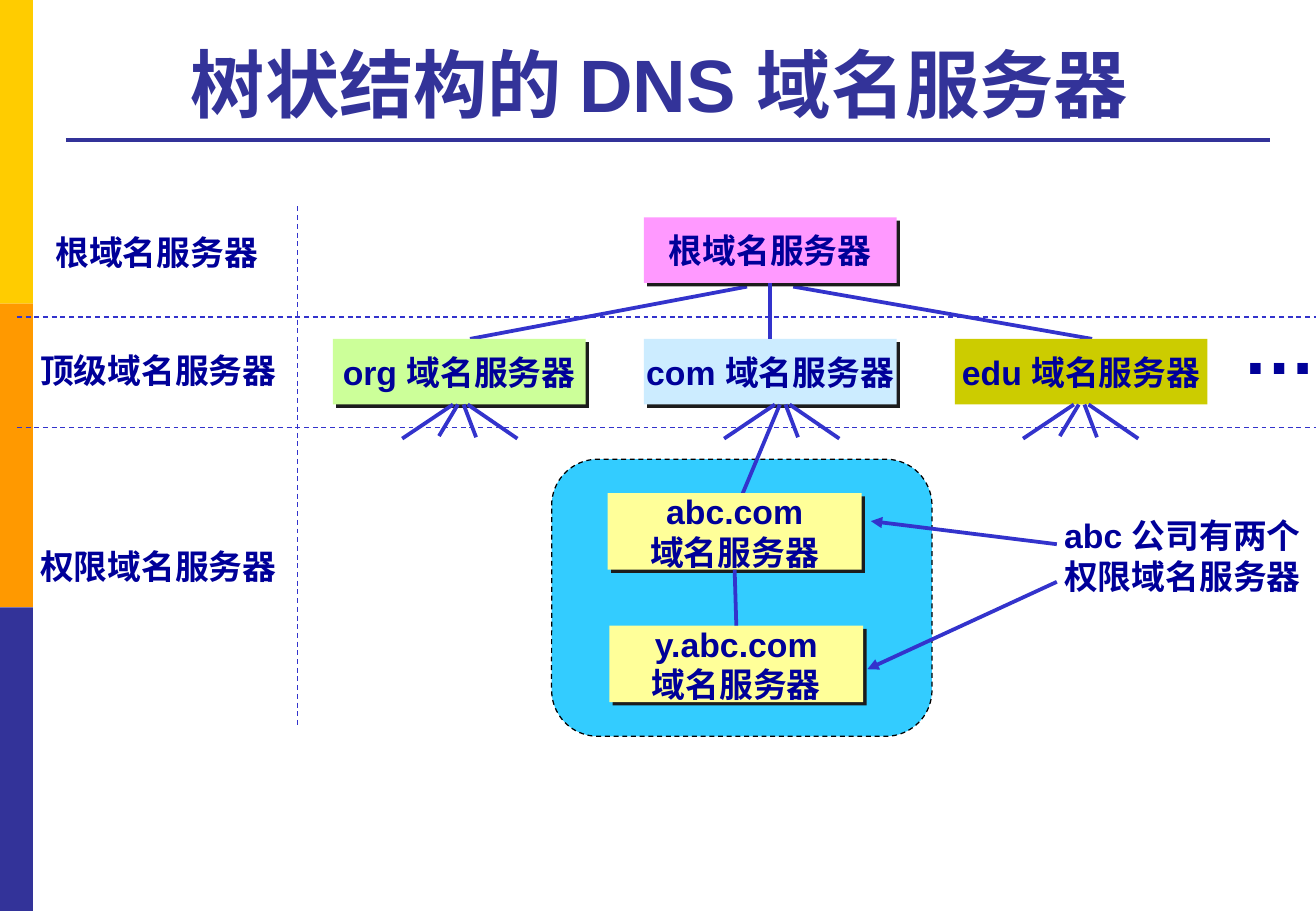
from dataclasses import dataclass

from lxml.etree import SubElement
from pptx import Presentation
from pptx.dml.color import RGBColor
from pptx.enum.dml import MSO_LINE
from pptx.enum.shapes import MSO_CONNECTOR, MSO_SHAPE
from pptx.enum.text import MSO_ANCHOR, MSO_AUTO_SIZE, PP_ALIGN
from pptx.oxml.ns import qn
from pptx.util import Pt

NAVY = "000099"
INDIGO = "333399"
BLUE = "3333CC"
SHADOW = "1C1C1C"
SERVER_WIDTH = 149.8
SERVER_HEIGHT = 38.9
TOP_LEVEL_Y = 200.9
FAN_Y = 239.8


@dataclass
class Server:
    text: str
    left: float
    top: float
    fill: str
    width: float = SERVER_WIDTH
    height: float = SERVER_HEIGHT
    shadow: bool = True


@dataclass
class Label:
    text: str
    left: float
    top: float
    width: float
    height: float
    size: float = 20
    color: str = NAVY
    align: PP_ALIGN = PP_ALIGN.CENTER
    anchor: MSO_ANCHOR = MSO_ANCHOR.TOP
    wrap: bool = False
    grow: bool = True


@dataclass
class Link:
    x1: float
    y1: float
    x2: float
    y2: float
    color: str = BLUE
    width: float = 2.25
    dashed: bool = False
    arrow: bool = False


@dataclass
class Twig:
    start_dx: float
    end_dx: float
    end_y: float


def rgb(value: str) -> RGBColor:
    return RGBColor.from_string(value)


def write(frame, text: str, *, size: float = 20, color: str = NAVY,
          align=PP_ALIGN.CENTER, anchor=MSO_ANCHOR.MIDDLE, wrap: bool = False) -> None:
    frame.word_wrap = wrap
    frame.vertical_anchor = anchor
    frame.text = text
    for paragraph in frame.paragraphs:
        paragraph.alignment = align
        for run in paragraph.runs:
            run.font.name = "Arial"
            run.font.size = Pt(size)
            run.font.bold = True
            run.font.color.rgb = rgb(color)


def add_block(slide, kind, left: float, top: float, width: float, height: float, fill: str):
    block = slide.shapes.add_shape(kind, Pt(left), Pt(top), Pt(width), Pt(height))
    block.shadow.inherit = False
    block.fill.solid()
    block.fill.fore_color.rgb = rgb(fill)
    block.line.fill.background()
    return block


def add_server(slide, server: Server):
    block = add_block(slide, MSO_SHAPE.RECTANGLE, server.left, server.top,
                      server.width, server.height, server.fill)
    if server.shadow:
        effects = block._element.spPr.find(qn("a:effectLst"))
        outer = SubElement(effects, qn("a:outerShdw"), blurRad="0", dist=str(Pt(2.83)),
                           dir="2700000", algn="ctr", rotWithShape="0")
        SubElement(outer, qn("a:srgbClr"), val=SHADOW)
    write(block.text_frame, server.text)
    return block


def add_label(slide, label: Label) -> None:
    box = slide.shapes.add_textbox(Pt(label.left), Pt(label.top), Pt(label.width), Pt(label.height))
    write(box.text_frame, label.text, size=label.size, color=label.color,
          align=label.align, anchor=label.anchor, wrap=label.wrap)
    if label.grow:
        box.text_frame.auto_size = MSO_AUTO_SIZE.SHAPE_TO_FIT_TEXT


def add_link(slide, link: Link):
    connector = slide.shapes.add_connector(
        MSO_CONNECTOR.STRAIGHT, Pt(link.x1), Pt(link.y1), Pt(link.x2), Pt(link.y2))
    connector.line.color.rgb = rgb(link.color)
    connector.line.width = Pt(link.width)
    if link.dashed:
        connector.line.dash_style = MSO_LINE.DASH
    if link.arrow:
        SubElement(connector.get_or_add_ln(), qn("a:tailEnd"), type="triangle")
    SubElement(connector._element.spPr, qn("a:effectLst"))
    return connector


def join_down(slide, upper, lower) -> None:
    connector = add_link(slide, Link(0, 0, 0, 0))
    connector.begin_connect(upper, 2)
    connector.end_connect(lower, 0)


def main() -> None:
    presentation = Presentation()
    presentation.slide_width = Pt(780)
    presentation.slide_height = Pt(540)
    slide = presentation.slides.add_slide(presentation.slide_layouts[6])

    for index, stripe_color in enumerate(("FFCC00", "FF9900", INDIGO)):
        add_block(slide, MSO_SHAPE.RECTANGLE, 0, 180 * index, 19.5, 180, stripe_color)
    add_link(slide, Link(39, 82.8, 753, 82.8, color=INDIGO))

    company = add_block(slide, MSO_SHAPE.ROUNDED_RECTANGLE, 327, 272.2, 225.4, 164.2, "33CCFF")
    company.line.color.rgb = rgb("000000")
    company.line.width = Pt(0.75)
    company.line.dash_style = MSO_LINE.DASH

    branches = (
        Link(278.6, TOP_LEVEL_Y, 442.8, 169.9),
        Link(647.3, TOP_LEVEL_Y, 470.2, 169.9),
    )
    for branch in branches:
        add_link(slide, branch)

    root = add_server(slide, Server("根域名服务器", 381.6, 128.9, "FF99FF"))
    add_server(slide, Server("org 域名服务器", 197.3, TOP_LEVEL_Y, "CCFF99"))
    com = add_server(slide, Server("com 域名服务器", 381.6, TOP_LEVEL_Y, "CCECFF"))
    add_server(slide, Server("edu 域名服务器", 565.9, TOP_LEVEL_Y, "CCCC00", shadow=False))
    join_down(slide, root, com)

    twigs = (Twig(5.8, 35.3, 260), Twig(3.4, 10.8, 259.2), Twig(-2.9, -33, 260))
    inner_twig = Twig(0, -11.2, 258.5)
    com_hub = 462.2
    for hub in (271.4, com_hub, 639.4):
        for twig in twigs if hub == com_hub else (*twigs, inner_twig):
            add_link(slide, Link(hub + twig.start_dx, FAN_Y, hub + twig.end_dx, twig.end_y))
    add_link(slide, Link(com_hub, FAN_Y, 440, 293))

    abc = add_server(slide, Server("abc.com\n域名服务器", 360.2, 292.3, "FFFF99", 150.5, 45.4))
    y_abc = add_server(slide, Server("y.abc.com\n域名服务器", 361.2, 370.8, "FFFF99", 150.5, 45.4))
    join_down(slide, abc, y_abc)

    guides_and_pointers = (
        Link(10, 187.9, 780, 187.9, width=0.75, dashed=True),
        Link(10, 253.4, 780, 253.4, width=0.75, dashed=True),
        Link(176.4, 122.4, 176.4, 429.8, width=0.75, dashed=True),
        Link(626.4, 322.6, 516.2, 308.9, arrow=True),
        Link(626.4, 344.9, 514.1, 396.7, arrow=True),
    )
    for link in guides_and_pointers:
        add_link(slide, link)

    labels = (
        Label("树状结构的 DNS 域名服务器 ", 39.6, 15.1, 712.8, 64.1, size=44, color=INDIGO,
              anchor=MSO_ANCHOR.BOTTOM, wrap=True, grow=False),
        Label("根域名服务器", 25.2, 133.9, 135.4, 31.7),
        Label("顶级域名服务器", 15.8, 203.8, 156.2, 31.7),
        Label("权限域名服务器", 15.8, 319.7, 156.2, 31.7),
        Label("…", 729.4, 174.2, 59, 60.5, size=44, align=PP_ALIGN.LEFT),
        Label("abc 公司有两个\n权限域名服务器", 622.8, 301.7, 156.2, 55.4, wrap=True),
    )
    for label in labels:
        add_label(slide, label)

    presentation.save("out.pptx")


if __name__ == "__main__":
    main()
